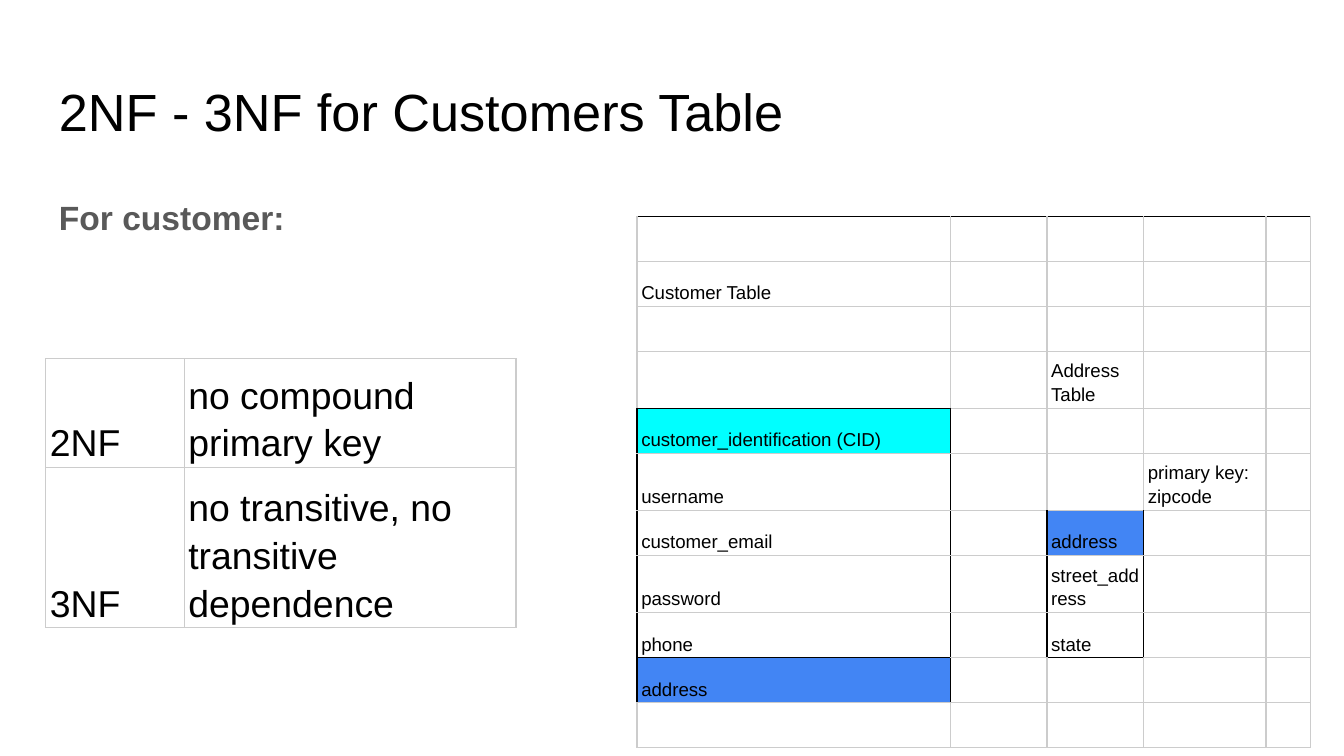
"""Build a slide on taking the customers table from 2NF to 3NF."""
from lxml import etree
from pptx import Presentation
from pptx.dml.color import RGBColor
from pptx.enum import text
from pptx.oxml import ns
from pptx.util import Inches, Pt

BLACK = RGBColor(0x00, 0x00, 0x00)
WHITE = RGBColor(0xFF, 0xFF, 0xFF)
GRAY = RGBColor(0x59, 0x59, 0x59)
RULE = RGBColor(0xCC, 0xCC, 0xCC)
CYAN = RGBColor(0x00, 0xFF, 0xFF)
BLUE = RGBColor(0x42, 0x85, 0xF4)

TITLE = "2NF - 3NF for Customers Table"
HEADING = "For customer:"

FORMS = [
    ["2NF", "no compound primary key"],
    ["3NF", "no transitive, no transitive dependence"],
]
FORM_COLS = [1.03, 2.47]
FORM_ROWS = [0.22] * len(FORMS)

SCHEMA = [
    ["", "", "", "", ""],
    ["Customer Table", "", "", "", ""],
    ["", "", "", "", ""],
    ["", "", "Address Table", "", ""],
    ["customer_identification (CID)", "", "", "", ""],
    ["username", "", "", "primary key: zipcode", ""],
    ["customer_email", "", "address", "", ""],
    ["password", "", "street_address", "", ""],
    ["phone", "", "state", "", ""],
    ["address", "", "", "", ""],
    ["", "", "", "", ""],
]
SCHEMA_COLS = [2.33, 0.72, 0.72, 0.91, 0.33]
SCHEMA_ROWS = [0.38 if r == 5 else 0.25 for r in range(len(SCHEMA))]
SCHEMA_FILLS = {(2, 2): WHITE, (4, 0): CYAN, (6, 2): BLUE,
                (9, 0): BLUE, (9, 4): WHITE}

BOXED = [(r, 0) for r in range(4, 10)] + [(r, 2) for r in range(6, 9)]
DARK_EDGES = {("v", r, c + side) for r, c in BOXED for side in (0, 1)}
DARK_EDGES |= {("h", 0, c) for c in range(len(SCHEMA_COLS))}
DARK_EDGES |= {("h", 4, 0), ("h", 9, 0), ("h", 9, 2)}


def write(tf, words, size=10, color=BLACK, bold=False, spacing=None):
    p = tf.paragraphs[0]
    p.line_spacing = spacing
    r = p.add_run()
    r.text = words
    r.font.name = "Arial"
    r.font.size = Pt(size)
    r.font.bold = bold
    r.font.color.rgb = color


def add_text(s, words, box, **fmt):
    tf = s.shapes.add_textbox(*map(Inches, box)).text_frame
    tf.word_wrap = True
    tf.margin_left = tf.margin_right = Inches(0.1)
    tf.margin_top = tf.margin_bottom = Inches(0.1)
    write(tf, words, **fmt)


def add_border(cell, side, color):
    tc_pr = cell._tc.get_or_add_tcPr()
    ln = etree.SubElement(tc_pr, ns.qn("a:ln" + side), w=str(Pt(0.75)))
    fill = etree.SubElement(ln, ns.qn("a:solidFill"))
    etree.SubElement(fill, ns.qn("a:srgbClr"), val=str(color))


def add_grid(s, rows, left, top, widths, heights, size, fills=(), dark=()):
    fills = dict(fills)
    box = map(Inches, (left, top, 3.28, 3.28))
    frame = s.shapes.add_table(len(rows), len(widths), *box)
    table = frame.table
    table.first_row = table.horz_banding = False
    for column, width in zip(table.columns, widths):
        column.width = Inches(width)
    for row, height in zip(table.rows, heights):
        row.height = Inches(height)
    frame.width = frame.height = Inches(3.28)
    for r, row in enumerate(rows):
        for c, words in enumerate(row):
            cell = table.cell(r, c)
            cell.margin_left = cell.margin_right = Pt(2.25)
            cell.margin_top = cell.margin_bottom = Pt(1.5 if words else 1.25)
            cell.vertical_anchor = text.MSO_ANCHOR.BOTTOM
            edges = {"L": ("v", r, c), "R": ("v", r, c + 1),
                     "T": ("h", r, c), "B": ("h", r + 1, c)}
            for side, edge in edges.items():
                add_border(cell, side, BLACK if edge in dark else RULE)
            if (r, c) in fills:
                cell.fill.solid()
                cell.fill.fore_color.rgb = fills[r, c]
            else:
                cell.fill.background()
            if words:
                write(cell.text_frame, words, size=size, spacing=1.15)


def main():
    prs = Presentation()
    prs.slide_width = Inches(10)
    prs.slide_height = prs.slide_width * 9 // 16
    s = prs.slides.add_slide(prs.slide_layouts[6])
    add_text(s, TITLE, (0.34, 0.49, 9.32, 0.63), size=28)
    add_text(s, HEADING, (0.34, 1.32, 9.32, 3.74),
             size=18, color=GRAY, bold=True, spacing=1.15)
    add_grid(s, FORMS, 0.34, 2.67, FORM_COLS, FORM_ROWS, 20)
    add_grid(s, SCHEMA, 4.74, 1.61, SCHEMA_COLS, SCHEMA_ROWS, 10,
             fills=SCHEMA_FILLS, dark=DARK_EDGES)
    prs.save("out.pptx")


if __name__ == "__main__":
    main()
